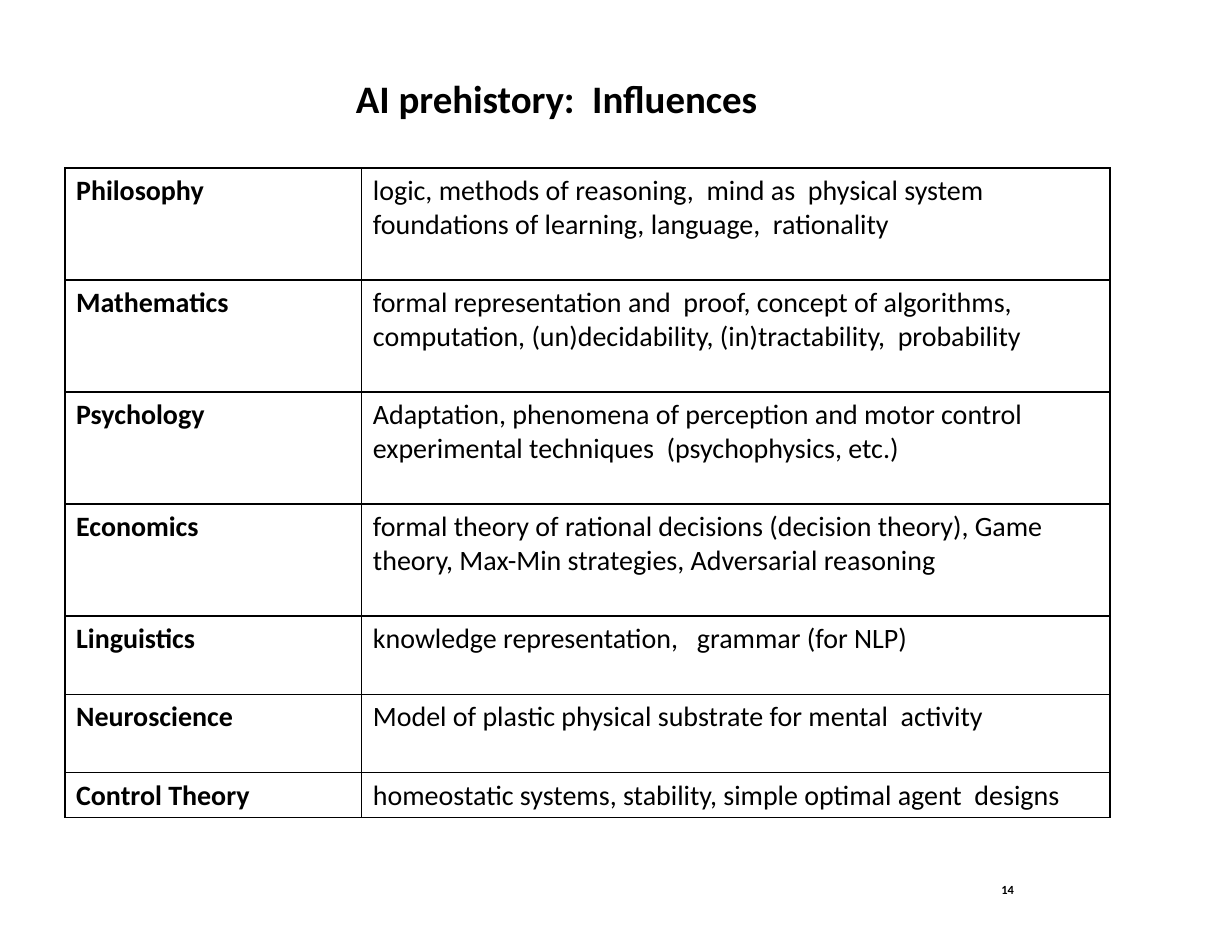
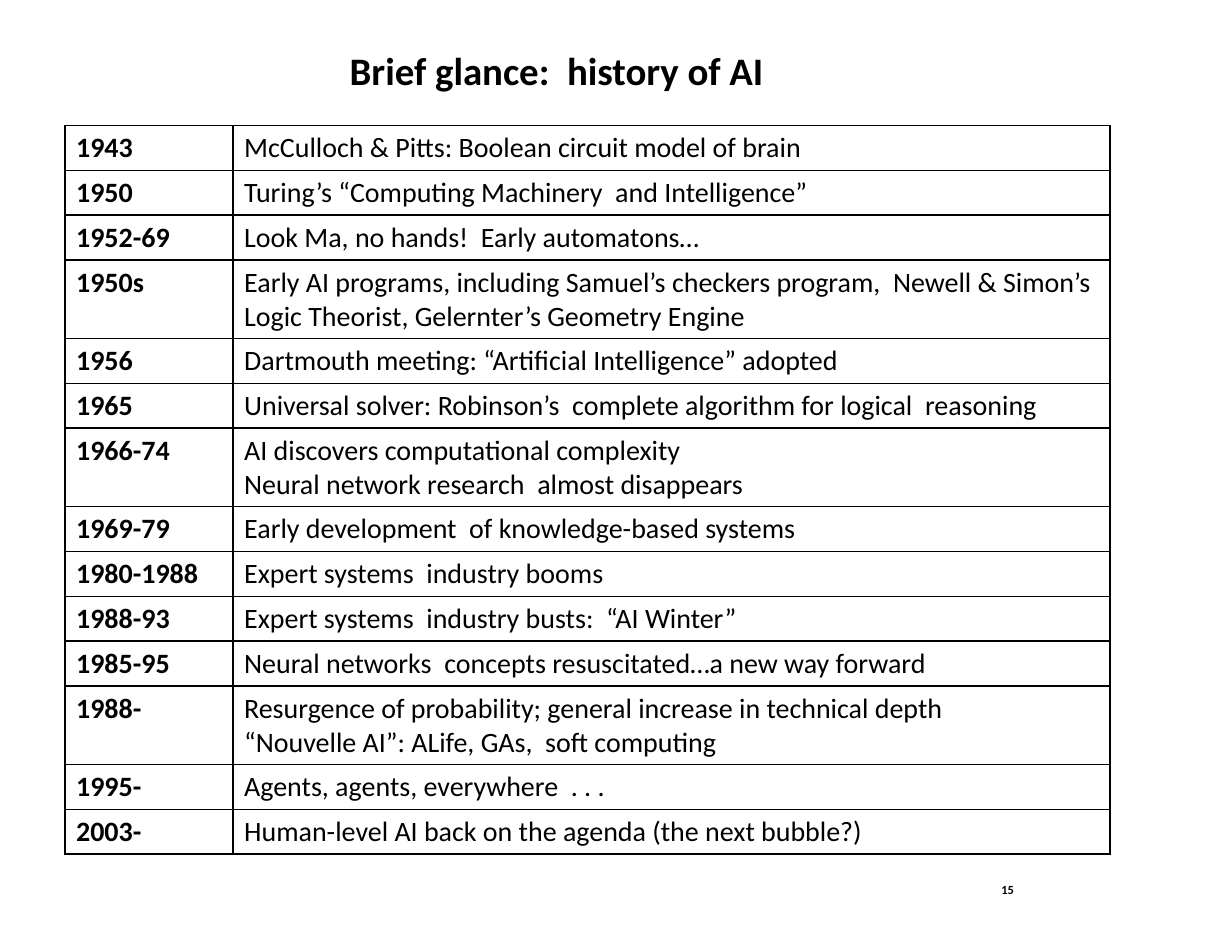
from lxml import etree
from pptx import Presentation
from pptx.dml.color import RGBColor
from pptx.enum.text import PP_ALIGN as Align
from pptx.oxml.ns import qn
from pptx.util import Inches, Pt

FONT = "Calibri"
COLORS = {"text": "000000", "border": "000000", "paper": "FFFFFF"}
BORDER_WIDTH = Pt(0.96)
TABLE_LEFT, TABLE_WIDTH = 0.58, 9.33
ONE_LINE, TWO_LINES = 0.4, 0.7

INFLUENCES = [
    ("Philosophy", "logic, methods of reasoning,  mind as  physical system "
                   "foundations of learning, language,  rationality"),
    ("Mathematics", "formal representation and  proof, concept of algorithms, "
                    "computation, (un)decidability, (in)tractability,  probability"),
    ("Psychology", "Adaptation, phenomena of perception and motor control "
                   "experimental techniques  (psychophysics, etc.)"),
    ("Economics", "formal theory of rational decisions (decision theory), Game "
                  "theory, Max-Min strategies, Adversarial reasoning"),
    ("Linguistics", "knowledge representation,   grammar (for NLP)"),
    ("Neuroscience", "Model of plastic physical substrate for mental  activity"),
    ("Control Theory", "homeostatic systems, stability, simple optimal agent  designs"),
]
INFLUENCE_HEIGHTS = [1] * 4 + [TWO_LINES] * 2 + [ONE_LINE]

HISTORY = [
    ("1943", "McCulloch & Pitts: Boolean circuit model of brain"),
    ("1950", "Turing’s “Computing Machinery  and Intelligence”"),
    ("1952-69", "Look Ma, no hands!  Early automatons…"),
    ("1950s", "Early AI programs, including Samuel’s checkers program,  Newell & Simon’s "
              "Logic Theorist, Gelernter’s Geometry Engine"),
    ("1956", "Dartmouth meeting: “Artificial Intelligence” adopted"),
    ("1965", "Universal solver: Robinson’s  complete algorithm for logical  reasoning"),
    ("1966-74", "AI discovers computational complexity\n"
                "Neural network research  almost disappears"),
    ("1969-79", "Early development  of knowledge-based systems"),
    ("1980-1988", "Expert systems  industry booms"),
    ("1988-93", "Expert systems  industry busts:  “AI Winter”"),
    ("1985-95", "Neural networks  concepts resuscitated…a new way forward"),
    ("1988-", "Resurgence of probability; general increase in technical depth\n"
              "“Nouvelle AI”: ALife, GAs,  soft computing"),
    ("1995-", "Agents, agents, everywhere  . . ."),
    ("2003-", "Human-level AI back on the agenda (the next bubble?)"),
]
TWO_LINE_YEARS = {"1950s", "1966-74", "1988-"}
HISTORY_HEIGHTS = [TWO_LINES if years in TWO_LINE_YEARS else ONE_LINE
                   for years, _ in HISTORY]


def color(name):
    return RGBColor.from_string(COLORS[name])


def write(frame, text, size, bold, align=None, spacing=None):
    """Fill a text frame, one paragraph for each line of text."""
    frame.text = text
    for para in frame.paragraphs:
        para.font.name = FONT
        para.font.size = Pt(size)
        para.font.bold = bold
        para.font.color.rgb = color("text")
        if align is not None:
            para.alignment = align
        if spacing:
            para.line_spacing = Pt(spacing)


def add_label(page, box, text, size, spacing, align=Align.LEFT):
    frame = page.shapes.add_textbox(*map(Inches, box)).text_frame
    frame.word_wrap = True
    frame.margin_left = frame.margin_right = 0
    frame.margin_top = frame.margin_bottom = 0
    write(frame, text, size, True, align, spacing)


def add_borders(cell):
    """Rule all four sides; the lines must stand before the cell's fill."""
    properties = cell._tc.get_or_add_tcPr()
    for place, side in enumerate(("lnL", "lnR", "lnT", "lnB")):
        line = etree.Element(qn(f"a:{side}"), w=str(BORDER_WIDTH))
        fill = etree.SubElement(line, qn("a:solidFill"))
        etree.SubElement(fill, qn("a:srgbClr"), val=COLORS["border"])
        properties.insert(place, line)


def add_topic_table(page, box, entries, label_width, heights):
    """Table with a bold label column and a column of descriptions."""
    table = page.shapes.add_table(len(entries), 2, *map(Inches, box)).table
    table.first_row = table.horz_banding = False
    table.columns[0].width = Inches(label_width)
    table.columns[1].width = Inches(box[2] - label_width)
    for row, height, entry in zip(table.rows, heights, entries):
        row.height = Inches(height)
        for column, text in enumerate(entry):
            cell = row.cells[column]
            write(cell.text_frame, text, 18, column == 0)
            cell.fill.background()
            add_borders(cell)


def add_topic_page(deck, number, title, title_top, table_top, entries,
                   label_width, heights):
    page = deck.slides.add_slide(deck.slide_layouts[6])
    page.background.fill.solid()
    page.background.fill.fore_color.rgb = color("paper")
    add_label(page, (8.94, 7.89, 0.2, 0.15), str(number), 8, 8.8)
    add_label(page, (0.75, title_top, 8.44, 0.5), title, 25, 24.3, Align.CENTER)
    table_box = (TABLE_LEFT, table_top, TABLE_WIDTH, sum(heights))
    add_topic_table(page, table_box, entries, label_width, heights)


def main():
    deck = Presentation()
    deck.slide_width, deck.slide_height = Inches(11), Inches(8.5)
    add_topic_page(deck, 14, "AI prehistory:  Influences", 0.75, 1.5,
                   INFLUENCES, 2.65, INFLUENCE_HEIGHTS)
    add_topic_page(deck, 15, "Brief glance:  history of AI", 0.5, 1.12,
                   HISTORY, 1.5, HISTORY_HEIGHTS)
    deck.save("out.pptx")


if __name__ == "__main__":
    main()
